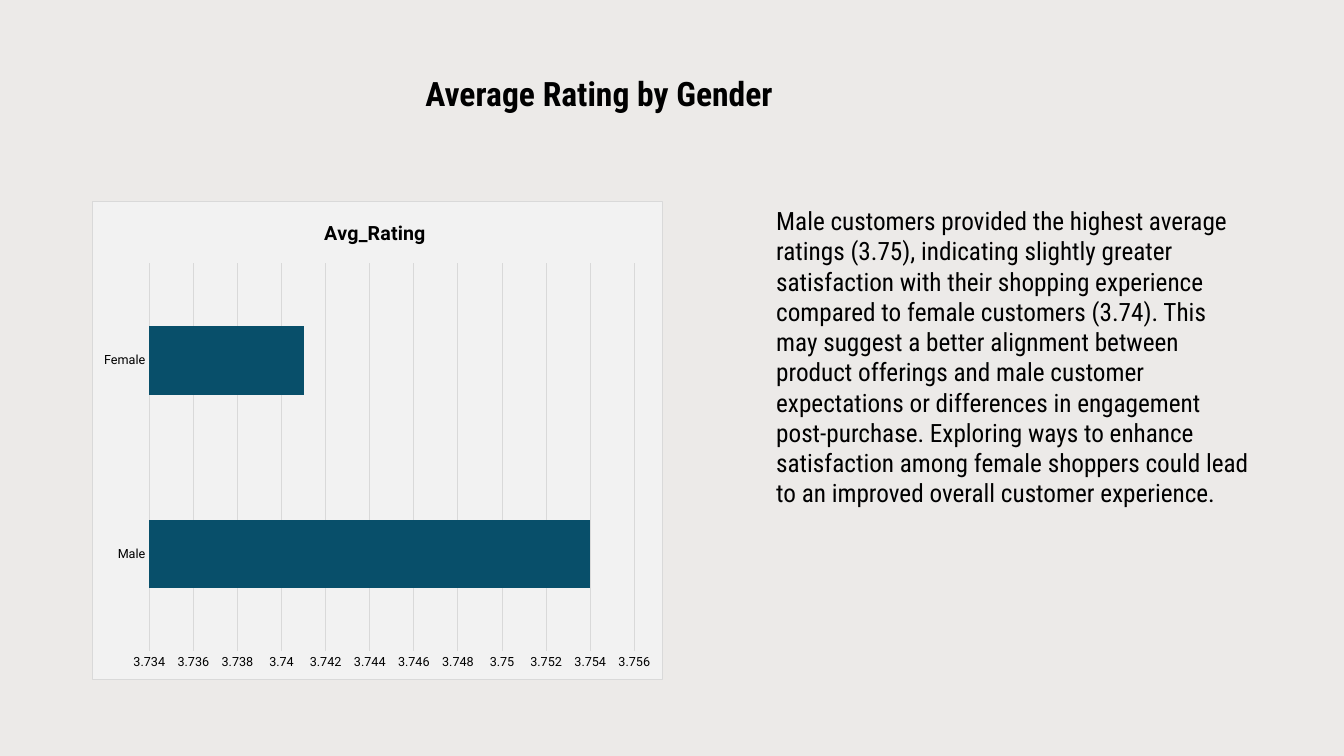
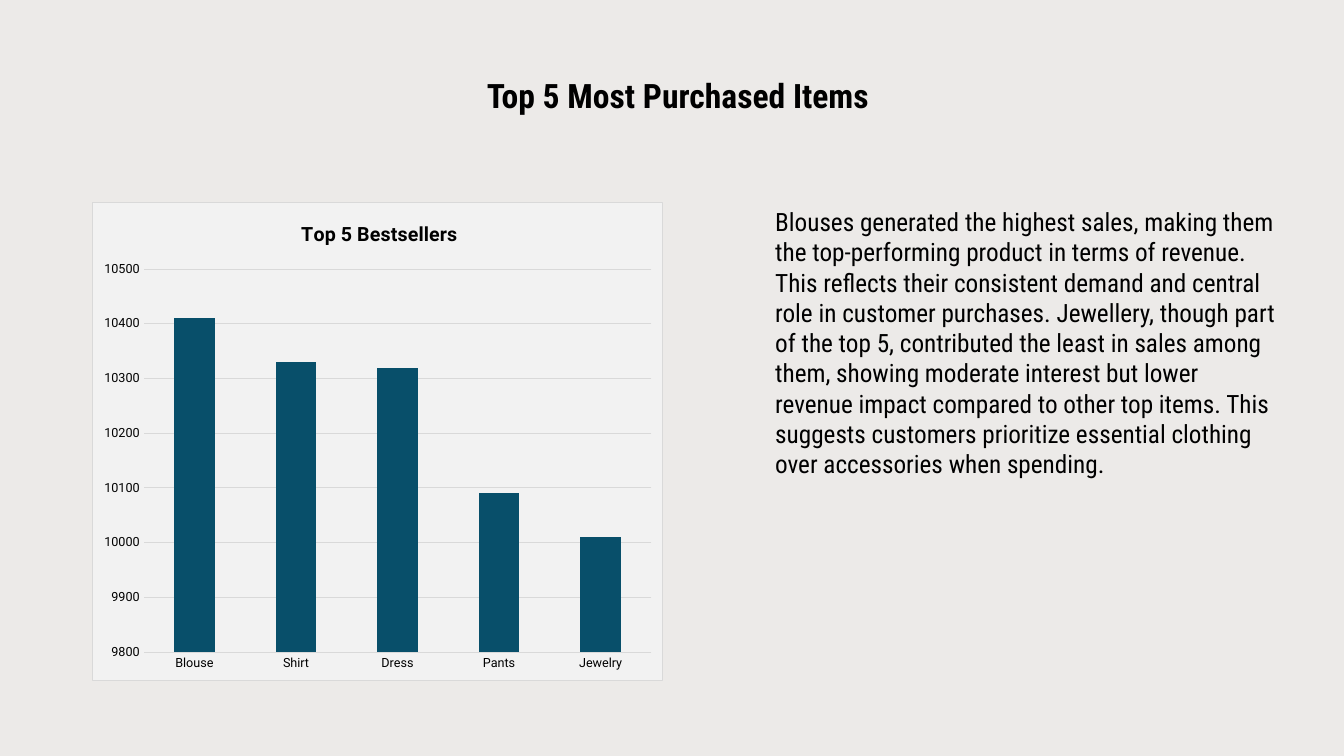
import dataclasses

import pptx
import pptx.chart.data
import pptx.dml.color
import pptx.enum.chart
import pptx.enum.shapes
import pptx.enum.text
import pptx.oxml
import pptx.oxml.ns
import pptx.util

Inches = pptx.util.Inches
Pt = pptx.util.Pt
RGB = pptx.dml.color.RGBColor.from_string
KINDS = pptx.enum.chart.XL_CHART_TYPE
TICKS = pptx.enum.chart.XL_TICK_MARK
NS = pptx.oxml.ns.nsdecls("c", "a")


@dataclasses.dataclass(frozen=True)
class Theme:
    ink: str = "000000"
    wash: str = "82766A"
    alpha: int = 15
    panel: str = "F2F2F2"
    rule: str = "D9D9D9"
    bar: str = "084F6A"
    rule_pt: float = 0.75
    text_font: str = "Roboto Condensed"
    chart_font: str = "Roboto"
    title_pt: int = 24
    body_pt: int = 18
    head_pt: int = 14
    label_pt: int = 10
    axis_pt: int = 9


THEME = Theme()
WIDE, HIGH = 13.33, 7.5

SLIDES = [
    dict(
        title="Average Rating by Gender",
        title_box=(4.12, 0.72, 4.56, 0.52),
        body="Male customers provided the highest average ratings (3.75), "
             "indicating slightly greater satisfaction with their shopping "
             "experience compared to female customers (3.74). This may suggest "
             "a better alignment between product offerings and male customer "
             "expectations or differences in engagement post-purchase. "
             "Exploring ways to enhance satisfaction among female shoppers "
             "could lead to an improved overall customer experience.",
        body_box=(7.6, 1.99, 4.89, 4.76),
        chart_box=(0.91, 1.99, 5.67, 4.76),
        chart=dict(
            kind=KINDS.BAR_CLUSTERED, head="Avg_Rating",
            data={"Male": 3.754, "Female": 3.741}, gap=182,
            scale=(3.734, 3.756, 0.002), base=True,
            head_at=(0.4, 0.03), plot_at=(0.1, 0.13, 0.85, 0.81)),
    ),
    dict(
        title="Top 5 Most Purchased Items",
        title_box=(4.73, 0.74, 4.56, 0.52),
        body="Blouses generated the highest sales, making them the "
             "top-performing product in terms of revenue. This reflects their "
             "consistent demand and central role in customer purchases. "
             "Jewellery, though part of the top 5, contributed the least in "
             "sales among them, showing moderate interest but lower revenue "
             "impact compared to other top items. This suggests customers "
             "prioritize essential clothing over accessories when spending.",
        body_box=(7.59, 2, 5.18, 4.76),
        chart_box=(0.91, 2, 5.67, 4.76),
        chart=dict(
            kind=KINDS.COLUMN_CLUSTERED, head="Top 5 Bestsellers",
            data={"Blouse": 10410, "Shirt": 10330, "Dress": 10320,
                  "Pants": 10090, "Jewelry": 10010}, gap=150,
            scale=(9800, 10500, 100), base=False,
            head_at=(0.36, 0.03), plot_at=(0.09, 0.14, 0.89, 0.8)),
    ),
]


def inch(box):
    return [Inches(side) for side in box]


def apply(item, **values):
    """Set each named attribute of item."""
    for name, value in values.items():
        setattr(item, name, value)


def style(font, name, size, bold=False):
    apply(font, name=name, size=Pt(size), bold=bold)
    font.color.rgb = RGB(THEME.ink)


def paint(fill, color):
    fill.solid()
    fill.fore_color.rgb = RGB(color)


def rule(line):
    paint(line.fill, THEME.rule)
    line.width = Pt(THEME.rule_pt)


def add_wash(slide, box):
    """Tint the box with a see-through colour."""
    wash = slide.shapes.add_shape(
        pptx.enum.shapes.MSO_SHAPE.RECTANGLE, *inch(box))
    wash.shadow.inherit = False
    paint(wash.fill, THEME.wash)
    wash.line.fill.background()
    color = wash.element.xpath("./p:spPr/a:solidFill/a:srgbClr")[0]
    color.append(pptx.oxml.parse_xml(
        f'<a:alpha {NS} val="{THEME.alpha * 1000}"/>'))


def add_text(slide, box, text, size, bold=False, **form):
    frame = slide.shapes.add_textbox(*inch(box)).text_frame
    apply(frame, word_wrap=True,
          vertical_anchor=pptx.enum.text.MSO_ANCHOR.TOP)
    para = frame.paragraphs[0]
    apply(para, **form)
    run = para.add_run()
    run.text = text
    style(run.font, THEME.text_font, size, bold)


def layout(place, inner=False):
    """Make a manual layout from shares of the chart's width and height."""
    target = '<c:layoutTarget val="inner"/>' if inner else ""
    modes = "".join(f'<c:{axis}Mode val="edge"/>' for axis in "xy")
    sides = "".join(f'<c:{side} val="{share}"/>'
                    for side, share in zip("xywh", place))
    return pptx.oxml.parse_xml(
        f"<c:layout {NS}><c:manualLayout>{target}{modes}{sides}"
        "</c:manualLayout></c:layout>")


def add_panel(chart):
    """Fill and outline the chart's background."""
    solid = '<a:solidFill><a:srgbClr val="{}"/></a:solidFill>'
    panel = pptx.oxml.parse_xml(
        f"<c:spPr {NS}>{solid.format(THEME.panel)}"
        f'<a:ln w="{Pt(THEME.rule_pt)}">{solid.format(THEME.rule)}</a:ln>'
        "</c:spPr>")
    chart.element.xpath("./c:chart")[0].addnext(panel)


def arrange(chart, head_at, plot_at):
    """Place the chart's title and plot."""
    for old in chart.element.xpath(
            "./c:chart/c:title/c:layout | ./c:chart/c:plotArea/c:layout"):
        old.getparent().remove(old)
    chart.element.xpath("./c:chart/c:title/c:tx")[0].addnext(layout(head_at))
    area = chart.element.xpath("./c:chart/c:plotArea")[0]
    area.insert(0, layout(plot_at, inner=True))


def set_axes(chart, scale, base):
    for axis in (chart.category_axis, chart.value_axis):
        apply(axis, major_tick_mark=TICKS.NONE, minor_tick_mark=TICKS.NONE)
        style(axis.tick_labels.font, THEME.chart_font, THEME.axis_pt)
        axis.format.line.fill.background()
    if base:
        rule(chart.category_axis.format.line)
    low, top, step = scale
    apply(chart.value_axis, minimum_scale=low, maximum_scale=top,
          major_unit=step, has_major_gridlines=True)
    apply(chart.value_axis.tick_labels, number_format="General",
          number_format_is_linked=False)
    rule(chart.value_axis.major_gridlines.format.line)


def add_chart(slide, box, kind, head, data, gap, scale, base, head_at, plot_at):
    source = pptx.chart.data.CategoryChartData()
    source.categories = list(data)
    source.add_series("Series 1", list(data.values()))
    chart = slide.shapes.add_chart(kind, *inch(box), source).chart
    style(chart.font, THEME.chart_font, THEME.label_pt)
    apply(chart, has_legend=False, has_title=True)
    para = chart.chart_title.text_frame.paragraphs[0]
    run = para.add_run()
    run.text = head
    style(run.font, THEME.chart_font, THEME.head_pt, bold=True)
    plot = chart.plots[0]
    apply(plot, gap_width=gap, vary_by_categories=False)
    paint(plot.series[0].format.fill, THEME.bar)
    set_axes(chart, scale, base)
    add_panel(chart)
    arrange(chart, head_at, plot_at)


def add_slide(deck, title, title_box, body, body_box, chart, chart_box):
    slide = deck.slides.add_slide(deck.slide_layouts[6])
    add_wash(slide, (0, 0, WIDE, HIGH))
    add_text(slide, title_box, title, THEME.title_pt, bold=True,
             line_spacing=0.9)
    add_text(slide, body_box, body, THEME.body_pt, space_before=Pt(25))
    add_chart(slide, chart_box, **chart)


def main():
    deck = pptx.Presentation()
    apply(deck, slide_width=Inches(WIDE), slide_height=Inches(HIGH))
    for parts in SLIDES:
        add_slide(deck, **parts)
    deck.save("out.pptx")


if __name__ == "__main__":
    main()
